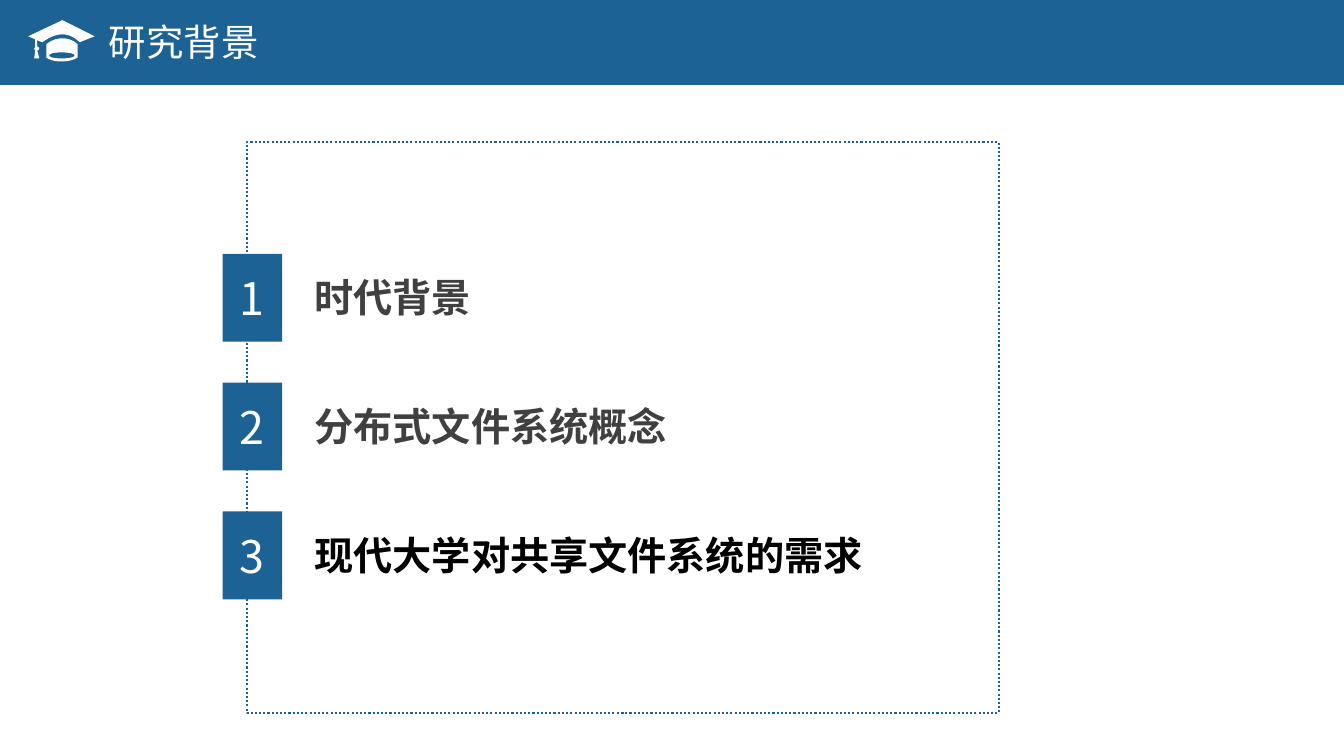
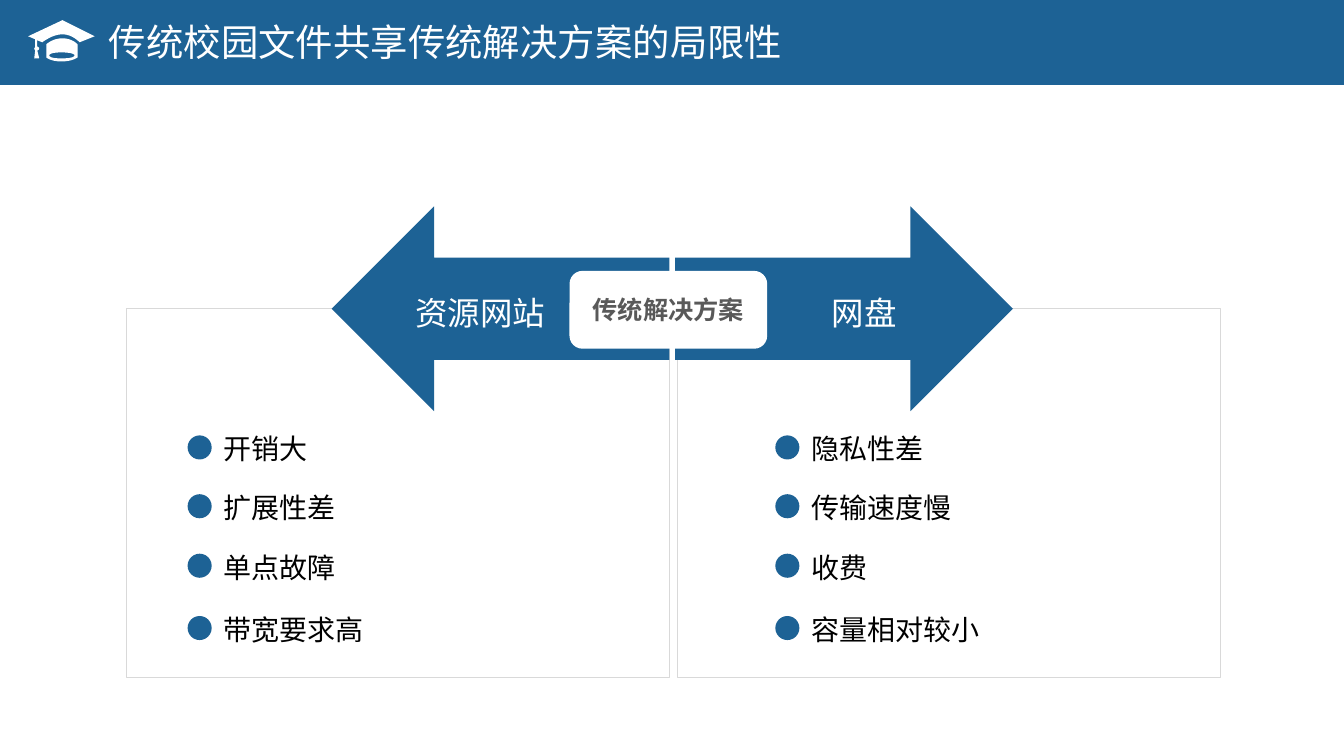
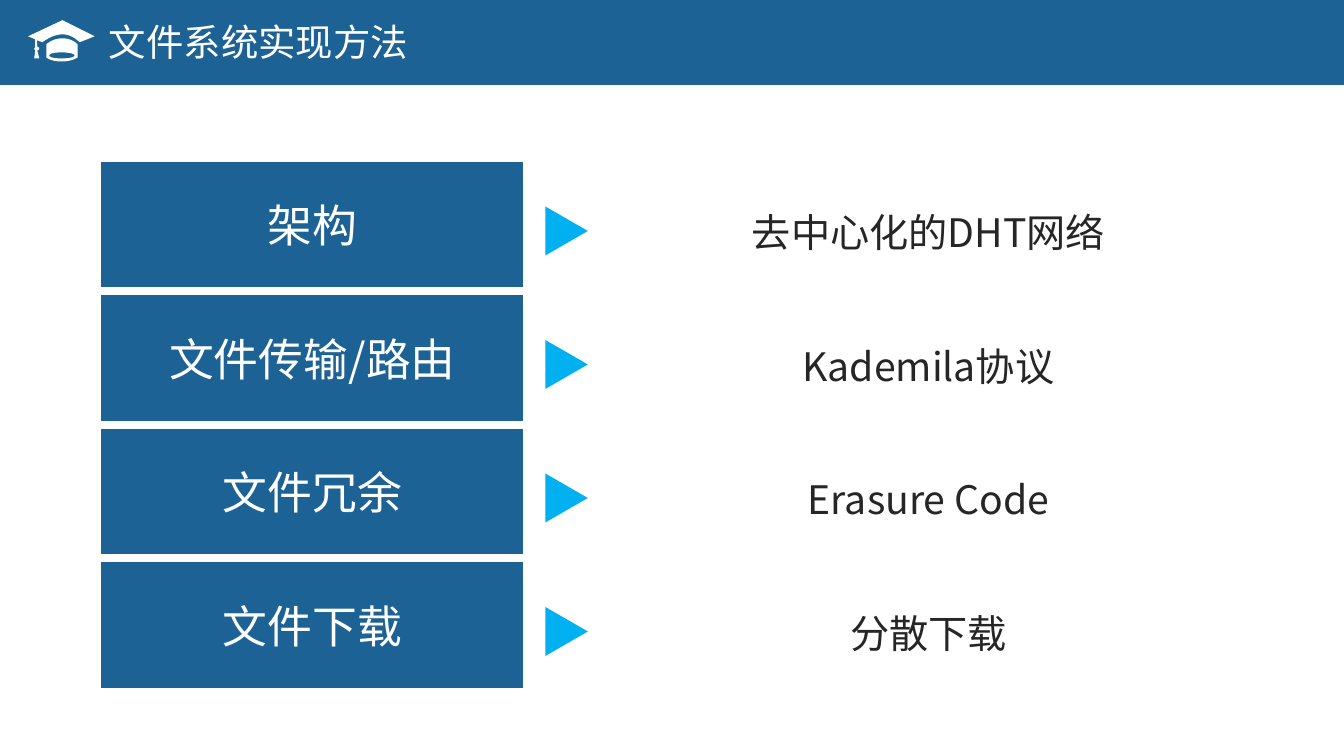
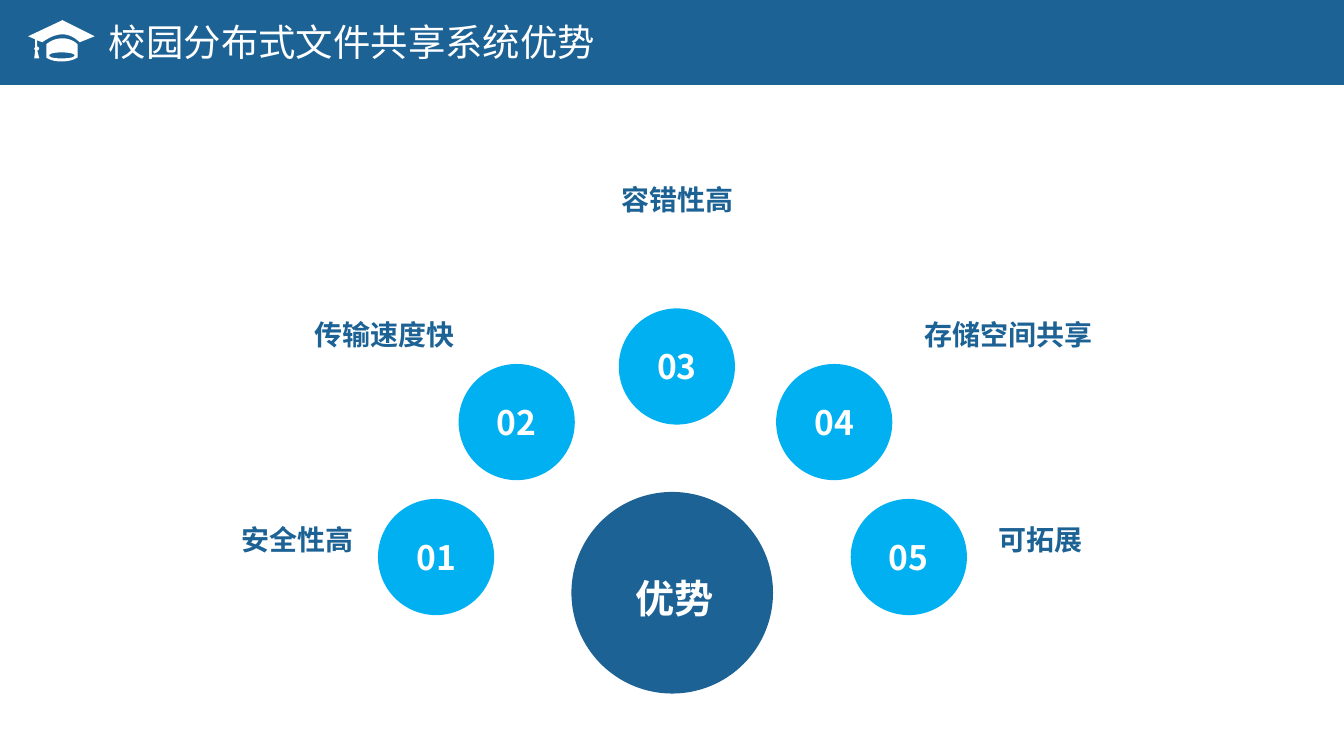
from lxml.etree import SubElement
from pptx import Presentation
from pptx.dml.color import RGBColor
from pptx.enum.dml import MSO_LINE
from pptx.enum.shapes import MSO_SHAPE as Kind
from pptx.enum.text import MSO_ANCHOR as Anchor, PP_ALIGN as Align
from pptx.oxml.ns import qn
from pptx.util import Pt

FONT = "Noto Sans CJK SC"
COLORS = {
    "navy": "1D6295", "sky": "00B0F0", "white": "FFFFFF", "black": "000000",
    "ink": "262626", "charcoal": "404040", "gray": "595959", "pale": "D9D9D9",
}
SLIDE_W, SLIDE_H = 960, 540

# Content
BACKGROUND = {
    "title": "研究背景",
    "topics": [("时代背景", "charcoal"), ("分布式文件系统概念", "charcoal"),
               ("现代大学对共享文件系统的需求", "black")],
}
LIMITS = {
    "title": "传统校园文件共享传统解决方案的局限性",
    "center": "传统解决方案",
    "websites": ("资源网站", ["开销大", "扩展性差", "单点故障", "带宽要求高"]),
    "cloud": ("网盘", ["隐私性差", "传输速度慢", "收费", "容量相对较小"]),
}
METHODS = {
    "title": "文件系统实现方法",
    "pairs": [("架构", "去中心化的DHT网络"), ("文件传输/路由", "Kademila协议"),
              ("文件冗余", "Erasure Code"), ("文件下载", "分散下载")],
}
# Each advantage: label, circle (left, top), label (left, top, width), alignment
ADVANTAGES = {
    "title": "校园分布式文件共享系统优势",
    "center": "优势",
    "items": [
        ("安全性高", (270, 356.4), (79.2, 361.4, 173.5), Align.RIGHT),
        ("传输速度快", (327.6, 260), (131.8, 214.6, 193), Align.RIGHT),
        ("容错性高", (442, 220.3), (389.5, 118, 188.6), Align.CENTER),
        ("存储空间共享", (554.4, 260), (660.2, 214.6, 173.5), Align.LEFT),
        ("可拓展", (607.7, 356.4), (713.5, 361.4, 173.5), Align.LEFT),
    ],
}

# Graduation cap in hundredths of an inch: pairs are corners, sixes are curves
CAP = [
    [(79, 42), (79, 42, 72, 34, 62, 34), (52, 34, 42, 42, 42, 42), (37, 40),
     (37, 46), (38, 47, 39, 47, 39, 48), (39, 49, 38, 50, 37, 50), (39, 58),
     (34, 58), (35, 50), (35, 50, 34, 49, 34, 48), (34, 48, 35, 47, 35, 46),
     (35, 39), (28, 36), (62, 20), (94, 36)],
    [(62, 38), (72, 38, 77, 44, 77, 44), (77, 57), (77, 57, 72, 61, 61, 61),
     (50, 61, 46, 57, 46, 57), (46, 44), (46, 44, 52, 38, 62, 38)],
    [(61, 58), (68, 58, 74, 57, 74, 55), (74, 53, 68, 52, 61, 52),
     (54, 52, 49, 53, 49, 55), (49, 57, 54, 58, 61, 58)],
]
CURVE_STEPS = 8


def rgb(color):
    return RGBColor.from_string(COLORS[color])


def write(shape, text, size=20, color="black", bold=False, align=Align.LEFT,
          anchor=Anchor.TOP, spacing=None, before=None, insets=(7.2, 3.6, 7.2, 3.6),
          wrap=True):
    frame = shape.text_frame
    frame.word_wrap = wrap
    frame.vertical_anchor = anchor
    (frame.margin_left, frame.margin_top,
     frame.margin_right, frame.margin_bottom) = map(Pt, insets)
    paragraph = frame.paragraphs[0]
    paragraph.alignment = align
    if spacing:
        paragraph.line_spacing = spacing
    if before:
        paragraph.space_before = Pt(before)
    run = paragraph.add_run()
    run.text = text
    run.font.size, run.font.bold, run.font.name = Pt(size), bold, FONT
    run.font.color.rgb = rgb(color)
    SubElement(run.font._element, qn("a:ea")).set("typeface", FONT)


def add_text(slide, box, text, **fmt):
    write(slide.shapes.add_textbox(*map(Pt, box)), text, **fmt)


def paint(shape, fill=None, line=None, width=1):
    shape.shadow.inherit = False
    if fill:
        shape.fill.solid()
        shape.fill.fore_color.rgb = rgb(fill)
    else:
        shape.fill.background()
    if line:
        shape.line.color.rgb = rgb(line)
        shape.line.width = Pt(width)
    else:
        shape.line.fill.background()


def add_block(slide, kind, box, fill=None, line=None, width=1, text=None, **fmt):
    shape = slide.shapes.add_shape(kind, *map(Pt, box))
    paint(shape, fill, line, width)
    if text:
        fmt = {"color": "white", "align": Align.CENTER, "anchor": Anchor.MIDDLE, **fmt}
        write(shape, text, **fmt)
    return shape


def outline(contour):
    """Turn corners and Bezier curves into points, in hundredths of a point."""
    points = [contour[0]]
    for part in contour[1:]:
        if len(part) == 2:
            points.append(part)
            continue
        controls = [points[-1], part[:2], part[2:4], part[4:]]
        for step in range(1, CURVE_STEPS + 1):
            t = step / CURVE_STEPS
            weights = ((1 - t) ** 3, 3 * t * (1 - t) ** 2, 3 * t * t * (1 - t), t ** 3)
            points.append(tuple(sum(w * c[axis] for w, c in zip(weights, controls))
                                for axis in (0, 1)))
    return [(x * 72, y * 72) for x, y in points]


def add_cap(slide):
    first, *others = map(outline, CAP)
    builder = slide.shapes.build_freeform(*first[0], scale=Pt(0.01))
    builder.add_line_segments(first[1:], close=True)
    for points in others:
        builder.move_to(*points[0])
        builder.add_line_segments(points[1:], close=True)
    paint(builder.convert_to_shape(), "white")


def new_slide(deck, title):
    slide = deck.slides.add_slide(deck.slide_layouts[6])
    add_block(slide, Kind.RECTANGLE, (0, 0, SLIDE_W, 60.6), "navy")
    add_text(slide, (70.6, 10.1, 600, 39.6), title, size=26.7, color="white")
    add_cap(slide)
    return slide


def background_slide(deck):
    slide = new_slide(deck, BACKGROUND["title"])
    frame = add_block(slide, Kind.RECTANGLE, (176.4, 101.5, 537.1, 408),
                      line="navy", width=1.5)
    frame.line.dash_style = MSO_LINE.ROUND_DOT
    for i, (topic, color) in enumerate(BACKGROUND["topics"]):
        top = 181.3 + i * 92
        add_block(slide, Kind.RECTANGLE, (159, top, 42.5, 62.8), "navy",
                  text=str(i + 1), size=32)
        add_text(slide, (217.6, top + 10.6, 502, 41), topic, size=28,
                 color=color, bold=True)


def limits_slide(deck):
    slide = new_slide(deck, LIMITS["title"])
    # Per side: panel left, arrow kind, arrow left, arrow insets, bullet left
    sides = [
        ("websites", 90.2, Kind.LEFT_ARROW, 236.9, (0, 0, 65.5, 0), 134),
        ("cloud", 483.6, Kind.RIGHT_ARROW, 482.3, (65.5, 0, 0, 0), 553.8),
    ]
    bullet_tops = (311, 353, 395.5, 440)
    for key, panel_left, arrow, arrow_left, insets, bullet_left in sides:
        heading, drawbacks = LIMITS[key]
        add_block(slide, Kind.RECTANGLE, (panel_left, 220.3, 388.3, 263.5),
                  line="pale", width=0.5)
        add_block(slide, arrow, (arrow_left, 147.4, 241.2, 146.3), "navy",
                  text=heading, size=23.2, spacing=1.2, insets=insets)
        for drawback, top in zip(drawbacks, bullet_tops):
            add_block(slide, Kind.OVAL, (bullet_left, top, 17.2, 17.2), "navy")
            add_text(slide, (bullet_left + 18.7, top - 6.1, 140, 31.7), drawback,
                     wrap=False)
    add_block(slide, Kind.ROUNDED_RECTANGLE, (406.8, 193.5, 141.2, 55.6), "white",
              text=LIMITS["center"], size=18, color="gray", bold=True)


def methods_slide(deck):
    slide = new_slide(deck, METHODS["title"])
    for i, (topic, method) in enumerate(METHODS["pairs"]):
        top = 115.2 + i * 95.35
        add_block(slide, Kind.RECTANGLE, (72, top, 302.4, 90.6), "navy",
                  line="white", text=topic, size=32)
        pointer = add_block(slide, Kind.ISOSCELES_TRIANGLE,
                            (387.2, top + 34.6, 35, 30.4), "sky")
        pointer.rotation = 90
        add_text(slide, (419.8, top + 13.5, 486.7, 67), method, size=28, color="ink",
                 align=Align.CENTER, spacing=1.5, before=4)


def advantages_slide(deck):
    slide = new_slide(deck, ADVANTAGES["title"])
    flush = (0, 0, 0, 0)
    for i, (label, corner, place, align) in enumerate(ADVANTAGES["items"], 1):
        add_block(slide, Kind.OVAL, (*corner, 83, 83), "sky", text=f"{i:02}",
                  size=24, bold=True, insets=flush)
        add_text(slide, (*place, 32.4), label, color="navy", bold=True, align=align,
                 spacing=1.5, insets=flush)
    add_block(slide, Kind.OVAL, (408.2, 351.4, 144, 144), "navy",
              text=ADVANTAGES["center"], size=28, bold=True, spacing=1.5,
              insets=(4, 0, 0, 10))


def main():
    deck = Presentation()
    deck.slide_width, deck.slide_height = Pt(SLIDE_W), Pt(SLIDE_H)
    for build in (background_slide, limits_slide, methods_slide, advantages_slide):
        build(deck)
    deck.save("out.pptx")


if __name__ == "__main__":
    main()
